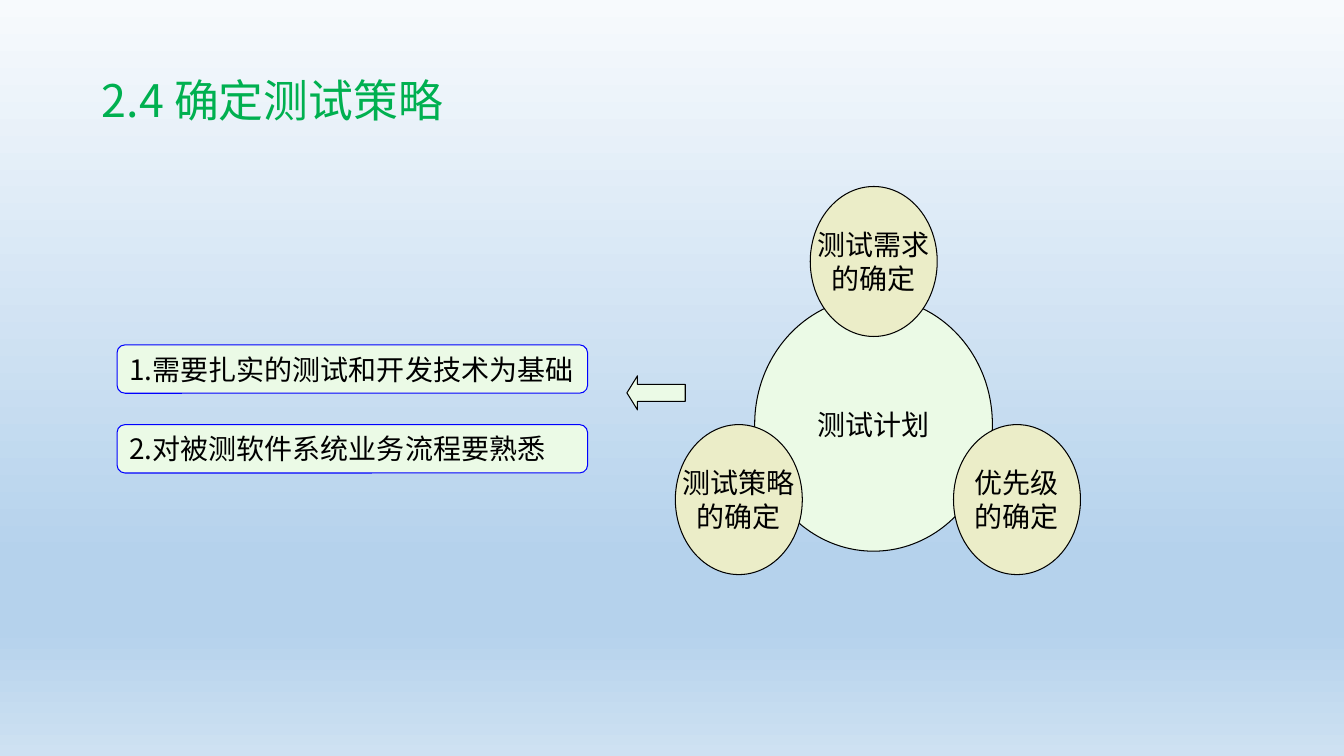
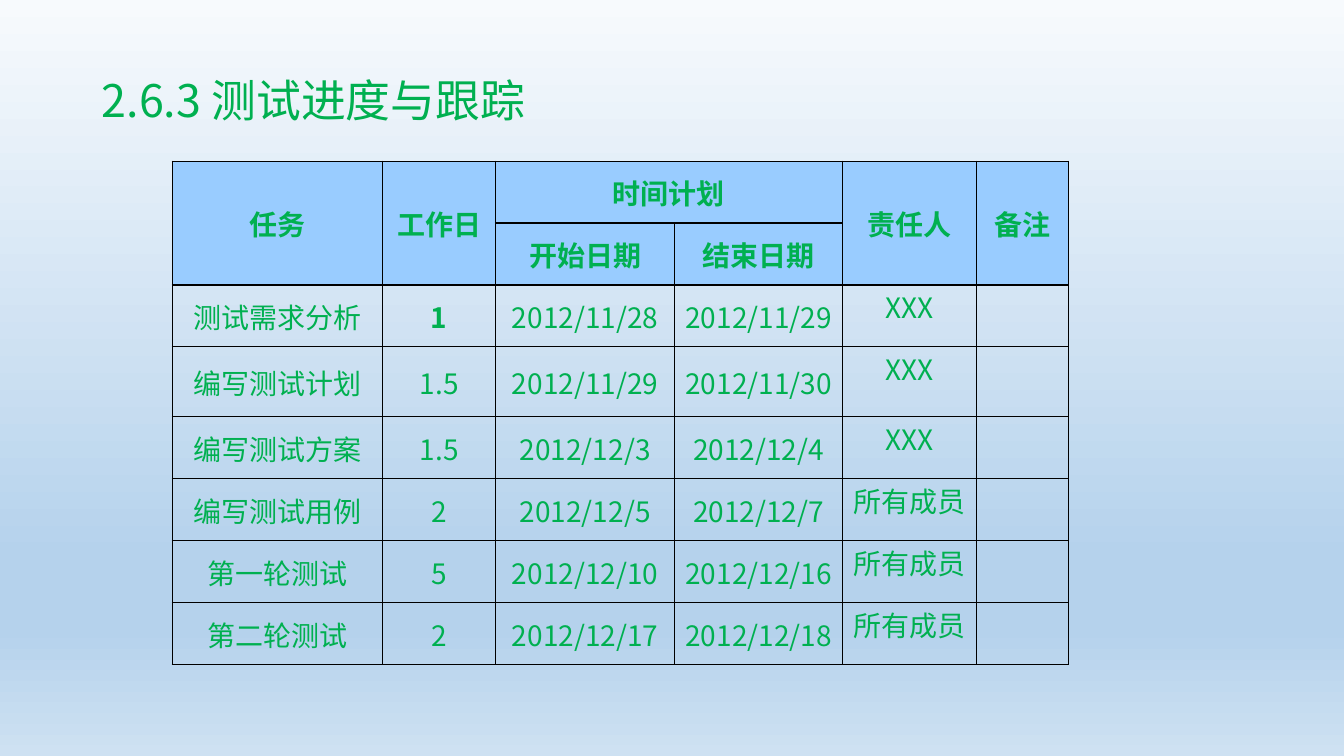
"""Build two slides on test planning: strategy diagram and schedule table."""
from lxml import etree
from pptx import Presentation
from pptx.dml.color import RGBColor
from pptx.enum.shapes import MSO_SHAPE
from pptx.enum.text import MSO_ANCHOR, PP_ALIGN
from pptx.oxml.ns import qn
from pptx.util import Cm, Pt

OVAL, ROUNDED, LEFT_ARROW = MSO_SHAPE.OVAL, MSO_SHAPE.ROUNDED_RECTANGLE, MSO_SHAPE.LEFT_ARROW
LEFT, CENTER = PP_ALIGN.LEFT, PP_ALIGN.CENTER
TOP, MIDDLE = MSO_ANCHOR.TOP, MSO_ANCHOR.MIDDLE

FONT = "Noto Sans CJK SC"
GREEN = RGBColor(0x00, 0xB0, 0x50)
BLACK = RGBColor(0x00, 0x00, 0x00)
BLUE = RGBColor(0x00, 0x00, 0xFF)
MINT = RGBColor(0xEB, 0xFA, 0xE6)
KHAKI = RGBColor(0xEB, 0xED, 0xC8)
SKY = RGBColor(0x99, 0xCC, 0xFF)
BACKGROUND_STOPS = [
    (0, RGBColor(0xF7, 0xFA, 0xFD)),
    (74, RGBColor(0xB5, 0xD2, 0xEC)),
    (83, RGBColor(0xB5, 0xD2, 0xEC)),
    (100, RGBColor(0xCE, 0xE1, 0xF2)),
]

STRATEGY_TITLE = "2.4 确定测试策略"
PLAN = "测试计划"
PLAN_PARTS = [
    (["测试需求", "的确定"], 22.02, 6.59),
    (["优先级", "的确定"], 25.63, 12.59),
    (["测试策略", "的确定"], 18.62, 12.59),
]
PART_WIDTH, PART_HEIGHT = 3.2, 3.78
REQUIREMENTS = ["1.需要扎实的测试和开发技术为基础", "2.对被测软件系统业务流程要熟悉"]
REQUIREMENT_TOP, REQUIREMENT_PITCH = 8.69, 2.01

SCHEDULE_TITLE = "2.6.3 测试进度与跟踪"
SCHEDULE = [
    ["任务", "工作日", "时间计划", "", "责任人", "备注"],
    ["", "", "开始日期", "结束日期", "", ""],
    ["测试需求分析", "1", "2012/11/28", "2012/11/29", "XXX", ""],
    ["编写测试计划", "1.5", "2012/11/29", "2012/11/30", "XXX", ""],
    ["编写测试方案", "1.5", "2012/12/3", "2012/12/4", "XXX", ""],
    ["编写测试用例", "2", "2012/12/5", "2012/12/7", "所有成员", ""],
    ["第一轮测试", "5", "2012/12/10", "2012/12/16", "所有成员", ""],
    ["第二轮测试", "2", "2012/12/17", "2012/12/18", "所有成员", ""],
]
HEADER_ROWS = 2
OWNER_COLUMN = 4
BOLD_CELL = (2, 1)
COLUMN_WIDTHS = [5.31, 2.84, 4.52, 4.22, 3.38, 2.31]
ROW_HEIGHTS = [1.56, 1.56, 1.56, 1.76, 1.56, 1.56, 1.56, 1.56]
MERGES = [((0, column), (1, column)) for column in (0, 1, 4, 5)] + [((0, 2), (0, 3))]


def set_background(master):
    fill = master.background.fill
    fill.gradient()
    fill.gradient_angle = 270
    stops = master.element.find(".//" + qn("a:gsLst"))
    for stop in list(stops):
        stops.remove(stop)
    for percent, color in BACKGROUND_STOPS:
        stop = etree.SubElement(stops, qn("a:gs"), pos=str(percent * 1000))
        etree.SubElement(stop, qn("a:srgbClr"), val=str(color))


def add_run(paragraph, text, color, size=20, bold=False):
    run = paragraph.add_run()
    run.text = text
    font = run.font
    font.name, font.size, font.bold = FONT, Pt(size), bold
    font.color.rgb = color
    etree.SubElement(font._element, qn("a:ea"), typeface=FONT)


def add_titled_slide(presentation, title):
    slide = presentation.slides.add_slide(presentation.slide_layouts[5])
    shape = slide.shapes.title
    shape.left, shape.top, shape.width, shape.height = Cm(2.31), Cm(1.8), Cm(22.86), Cm(1.57)
    shape.text_frame.vertical_anchor = MIDDLE
    paragraph = shape.text_frame.paragraphs[0]
    paragraph.alignment = LEFT
    paragraph.line_spacing = 0.9
    add_run(paragraph, title, GREEN, 32)
    return slide


def add_figure(slide, kind, box, fill, line=BLACK, lines=(), alignment=CENTER):
    shape = slide.shapes.add_shape(kind, *(Cm(length) for length in box))
    shape.shadow.inherit = False
    shape.fill.solid()
    shape.fill.fore_color.rgb = fill
    shape.line.color.rgb = line
    shape.line.width = Pt(0.75)
    frame = shape.text_frame
    frame.word_wrap = False
    frame.vertical_anchor = MIDDLE
    for index, text in enumerate(lines):
        paragraph = frame.add_paragraph() if index else frame.paragraphs[0]
        paragraph.alignment = alignment
        add_run(paragraph, text, BLACK)
    return shape


def build_strategy(presentation):
    slide = add_titled_slide(presentation, STRATEGY_TITLE)
    add_figure(slide, OVAL, (19.02, 7.49, 5.99, 6.4), MINT, lines=[PLAN])
    for lines, center_x, center_y in PLAN_PARTS:
        box = (center_x - PART_WIDTH / 2, center_y - PART_HEIGHT / 2, PART_WIDTH, PART_HEIGHT)
        add_figure(slide, OVAL, box, KHAKI, lines=lines)
    for index, text in enumerate(REQUIREMENTS):
        box = (2.95, REQUIREMENT_TOP + index * REQUIREMENT_PITCH, 11.86, 1.22)
        add_figure(slide, ROUNDED, box, MINT, BLUE, [text], LEFT)
    arrow = add_figure(slide, LEFT_ARROW, (15.8, 9.47, 1.47, 0.86), MINT)
    arrow.adjustments[1] = 0.31


def add_borders(cell):
    properties = cell._tc.get_or_add_tcPr()
    for side in ("L", "R", "T", "B"):
        border = etree.SubElement(properties, qn(f"a:ln{side}"), w=str(Pt(1)))
        fill = etree.SubElement(border, qn("a:solidFill"))
        etree.SubElement(fill, qn("a:srgbClr"), val=str(BLACK))


def format_cell(cell, text, row, column):
    header = row < HEADER_ROWS
    add_borders(cell)
    if header:
        cell.fill.solid()
        cell.fill.fore_color.rgb = SKY
    else:
        cell.fill.background()
    cell.margin_left = cell.margin_right = cell.margin_top = Cm(0.03)
    cell.margin_bottom = 0
    cell.vertical_anchor = TOP if column == OWNER_COLUMN and not header else MIDDLE
    if text:
        paragraph = cell.text_frame.paragraphs[0]
        paragraph.alignment = CENTER
        add_run(paragraph, text, GREEN, bold=header or (row, column) == BOLD_CELL)


def build_schedule(presentation):
    slide = add_titled_slide(presentation, SCHEDULE_TITLE)
    table = slide.shapes.add_table(
        len(SCHEDULE), len(COLUMN_WIDTHS), Cm(4.34), Cm(4.06),
        Cm(sum(COLUMN_WIDTHS)), Cm(sum(ROW_HEIGHTS)),
    ).table
    table.first_row = table.horz_banding = False
    for column, width in zip(table.columns, COLUMN_WIDTHS):
        column.width = Cm(width)
    for row, height in zip(table.rows, ROW_HEIGHTS):
        row.height = Cm(height)
    for first, last in MERGES:
        table.cell(*first).merge(table.cell(*last))
    for row, texts in enumerate(SCHEDULE):
        for column, text in enumerate(texts):
            format_cell(table.cell(row, column), text, row, column)


def main():
    presentation = Presentation()
    presentation.slide_width, presentation.slide_height = Cm(33.87), Cm(19.05)
    set_background(presentation.slide_master)
    build_strategy(presentation)
    build_schedule(presentation)
    presentation.save("out.pptx")


if __name__ == "__main__":
    main()
